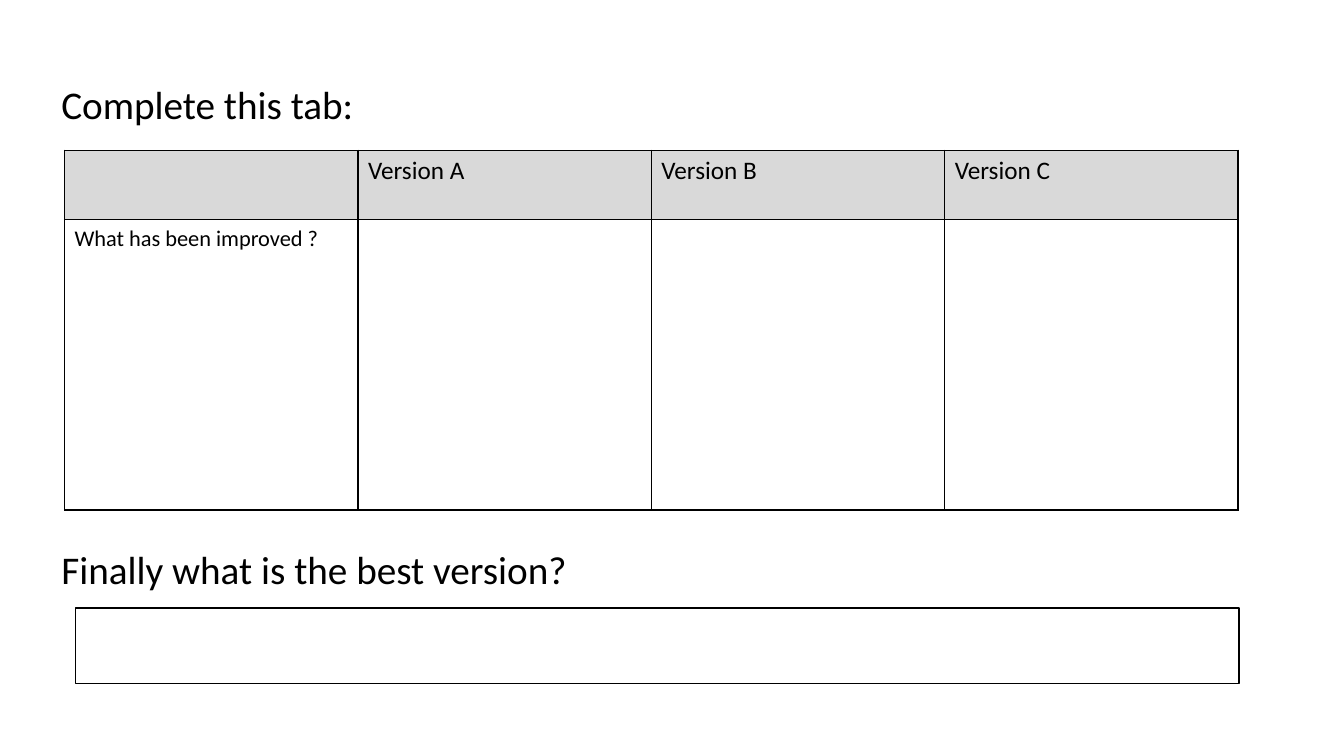
from lxml import etree
from pptx import Presentation
from pptx import util as u
from pptx.dml.color import RGBColor
from pptx.enum import shapes, text
from pptx.oxml import ns

BLACK = RGBColor(0, 0, 0)
WHITE = RGBColor(255, 255, 255)
GREY = RGBColor(0xD9, 0xD9, 0xD9)
FONT = "Calibri"
WIDE, HIGH = u.Inches(13.33), u.Inches(7.5)
LEFT, COL = u.Inches(0.64), u.Inches(2.91)
ROWS = [
    ["", "Version A", "Version B", "Version C"],
    ["What has been improved ?", "", "", ""],
]
TALL = [u.Inches(0.69), u.Inches(2.88)]
SIZES = [18, 16]


def style(para, size):
    """Set the font of a paragraph."""
    para.font.name = FONT
    para.font.size = u.Pt(size)
    para.font.color.rgb = BLACK


def edge(cell):
    """Draw a thin black line on each side of a cell."""
    props = cell._tc.get_or_add_tcPr()
    for spot, side in enumerate(("lnL", "lnR", "lnT", "lnB")):
        line = etree.Element(ns.qn("a:" + side), w=str(u.Pt(1)))
        fill = etree.SubElement(line, ns.qn("a:solidFill"))
        etree.SubElement(fill, ns.qn("a:srgbClr"), val=str(BLACK))
        props.insert(spot, line)


def grid(slide, top):
    """Add the table that compares the versions."""
    frame = slide.shapes.add_table(
        len(ROWS), len(ROWS[0]), LEFT, top, COL * len(ROWS[0]), sum(TALL))
    table = frame.table
    table.first_row = table.horz_banding = False
    for col in table.columns:
        col.width = COL
    for r, words in enumerate(ROWS):
        table.rows[r].height = TALL[r]
        for c, word in enumerate(words):
            cell = table.cell(r, c)
            cell.text = word
            style(cell.text_frame.paragraphs[0], SIZES[r])
            if r == 0:
                cell.fill.solid()
                cell.fill.fore_color.rgb = GREY
            else:
                cell.fill.background()
            edge(cell)


def head(slide, words, top, wide):
    """Add a one-line heading."""
    box = slide.shapes.add_textbox(u.Inches(0.51), top, wide, u.Inches(0.57))
    frame = box.text_frame
    frame.word_wrap = False
    frame.auto_size = text.MSO_AUTO_SIZE.SHAPE_TO_FIT_TEXT
    frame.text = words
    style(frame.paragraphs[0], 28)


def answer(slide, top):
    """Add the empty box for the answer."""
    box = slide.shapes.add_shape(
        shapes.MSO_SHAPE.RECTANGLE, u.Inches(0.75), top,
        u.Inches(11.54), u.Inches(0.75))
    box.shadow.inherit = False
    box.fill.solid()
    box.fill.fore_color.rgb = WHITE
    box.line.color.rgb = BLACK
    box.line.width = u.Pt(1)


def main():
    """Build and save the slide."""
    deck = Presentation()
    deck.slide_width, deck.slide_height = WIDE, HIGH
    slide = deck.slides.add_slide(deck.slide_layouts[6])
    grid(slide, u.Inches(1.49))
    head(slide, "Finally what is the best version?",
         u.Inches(5.36), u.Inches(5.27))
    head(slide, "Complete this tab:", u.Inches(0.75), u.Inches(3.13))
    answer(slide, u.Inches(6.03))
    deck.save("out.pptx")


main()
